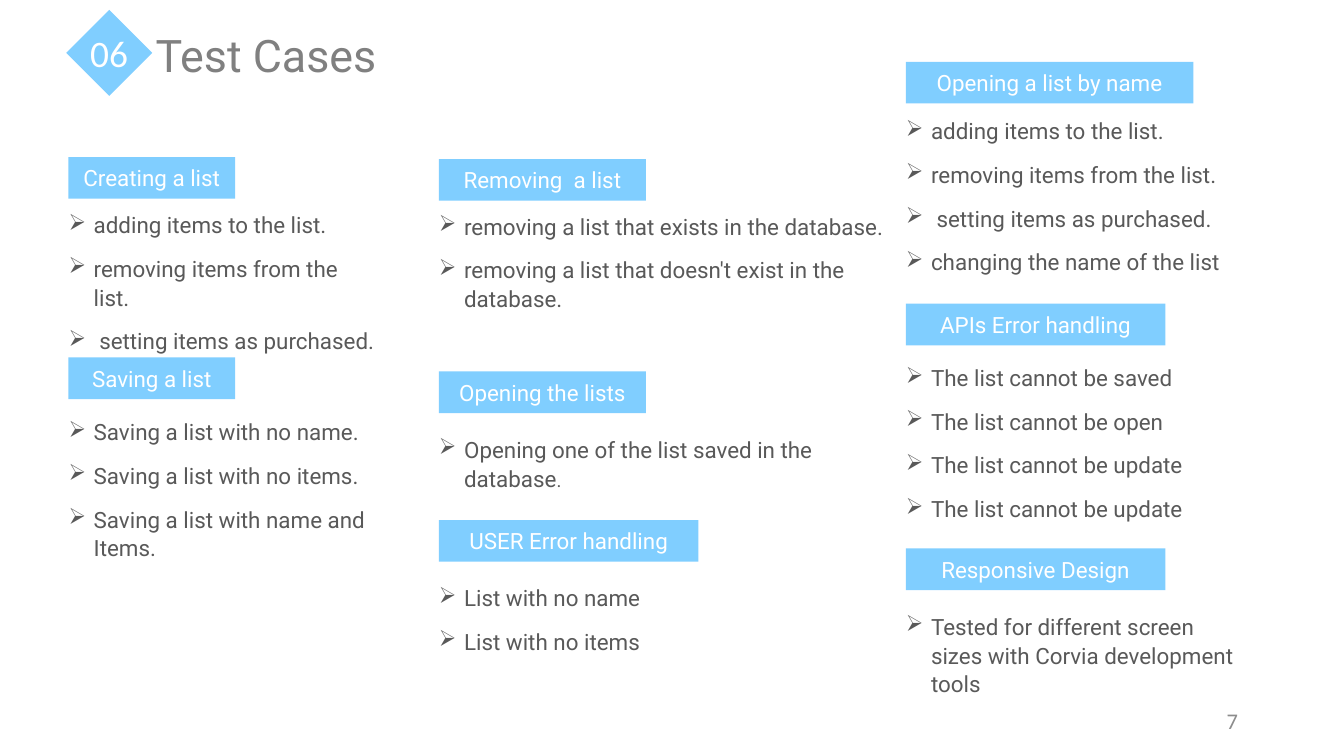
from dataclasses import dataclass

from lxml.etree import SubElement
from pptx import Presentation
from pptx.dml.color import RGBColor
from pptx.enum.shapes import MSO_SHAPE as Shape
from pptx.enum.text import MSO_ANCHOR as Anchor, PP_ALIGN as Align
from pptx.oxml.ns import qn
from pptx.util import Pt


@dataclass(frozen=True)
class Theme:
    white: RGBColor = RGBColor(0xFF, 0xFF, 0xFF)
    accent: RGBColor = RGBColor(0x80, 0xCE, 0xFF)
    title: RGBColor = RGBColor(0x80, 0x80, 0x80)
    body: RGBColor = RGBColor(0x59, 0x59, 0x59)
    page_number: RGBColor = RGBColor(0x8C, 0x8C, 0x8C)
    font: str = "Roboto"
    number_font: str = "Calibri"
    title_size: int = 24
    badge_size: int = 20
    text_size: int = 12
    small_size: int = 10


THEME = Theme()
HEADING_HEIGHT = 22.3
BULLET_INDENT = 13.5
LINE_HEIGHT = 15.4
SPACE_AFTER = 8


@dataclass(frozen=True)
class Section:
    heading: str
    top: float
    width: float
    list_top: float
    list_width: float
    items: tuple
    small_stop: bool = False


# Left edge of each column, with its sections from top to bottom.
COLUMNS = {
    36.7: (
        Section("Creating a list", 84.2, 89.3, 112.3, 164.2, (
            "adding items to the list.",
            "removing items from the list.",
            " setting items as purchased.")),
        Section("Saving a list", 191.5, 89.3, 223.2, 190.8, (
            "Saving a list with no name.",
            "Saving a list with no items.",
            "Saving a list with name and Items.")),
    ),
    235.2: (
        Section("Removing  a list", 85.2, 110.9, 113, 242.6, (
            "removing a list that exists in the database.",
            "removing a list that doesn't exist in the database.")),
        Section("Opening the lists", 199, 110.9, 232.6, 242.6, (
            "Opening one of the list saved in the database.",),
            small_stop=True),
        Section("USER Error handling", 278.6, 139, 312, 242.6, (
            "List with no name",
            "List with no items")),
    ),
    485.3: (
        Section("Opening a list by name", 33.1, 154.1, 61.9, 216.7, (
            "adding items to the list.",
            "removing items from the list.",
            " setting items as purchased.",
            "changing the name of the list")),
        Section("APIs Error handling", 162.7, 139, 194.2, 216.7, (
            "The list cannot be saved",
            "The list cannot be open",
            "The list cannot be update",
            "The list cannot be update")),
        Section("Responsive Design", 293.8, 139, 327.5, 185, (
            "Tested for different screen sizes with Corvia development tools",)),
    ),
}


def add_span(para, text, color, size=THEME.text_size, font=THEME.font):
    span = para.add_run()
    span.text = text
    span.font.name = font
    span.font.size = Pt(size)
    span.font.color.rgb = color


def add_text_box(page, left, top, width, height):
    box = page.shapes.add_textbox(Pt(left), Pt(top), Pt(width), Pt(height))
    box.text_frame.word_wrap = True
    return box.text_frame


def clear_margins(frame):
    frame.margin_left = frame.margin_right = 0
    frame.margin_top = frame.margin_bottom = 0


def add_filled_shape(page, kind, left, top, width, height):
    """Add an accent-coloured shape and return its centred text frame."""
    shape = page.shapes.add_shape(kind, Pt(left), Pt(top), Pt(width), Pt(height))
    shape.shadow.inherit = False
    shape.fill.solid()
    shape.fill.fore_color.rgb = THEME.accent
    shape.line.fill.background()
    frame = shape.text_frame
    frame.vertical_anchor = Anchor.MIDDLE
    frame.paragraphs[0].alignment = Align.CENTER
    return frame


def add_bullet(para):
    properties = para._p.get_or_add_pPr()
    properties.set("marL", str(Pt(BULLET_INDENT)))
    properties.set("indent", str(-Pt(BULLET_INDENT)))
    SubElement(properties, qn("a:buChar"), char="➢")
    para.line_spacing = 1.07
    para.space_after = Pt(SPACE_AFTER)


def add_list(page, left, section):
    height = len(section.items) * (LINE_HEIGHT + SPACE_AFTER)
    frame = add_text_box(page, left, section.list_top, section.list_width, height)
    clear_margins(frame)
    for index, item in enumerate(section.items):
        para = frame.add_paragraph() if index else frame.paragraphs[0]
        add_bullet(para)
        if section.small_stop:
            add_span(para, item[:-1], THEME.body)
            add_span(para, item[-1], THEME.body, THEME.small_size)
        else:
            add_span(para, item, THEME.body)


def add_section(page, left, section):
    add_list(page, left, section)
    frame = add_filled_shape(page, Shape.RECTANGLE, left, section.top,
                             section.width, HEADING_HEIGHT)
    add_span(frame.paragraphs[0], section.heading, THEME.white)


def add_title(page):
    para = add_text_box(page, 76.3, 7.9, 244.8, 45.4).paragraphs[0]
    para.line_spacing = Pt(32)
    add_span(para, "Test Cases", THEME.title, THEME.title_size)

    badge = add_filled_shape(page, Shape.DIAMOND, 35.5, 5.3, 46.1, 46.1)
    clear_margins(badge)
    badge.word_wrap = False
    add_span(badge.paragraphs[0], "06", THEME.white, THEME.badge_size,
             THEME.number_font)


def add_page_number(page):
    frame = add_text_box(page, 508.3, 375.1, 162, 21.6)
    frame.vertical_anchor = Anchor.MIDDLE
    para = frame.paragraphs[0]
    para.alignment = Align.RIGHT
    add_span(para, "7", THEME.page_number, font=THEME.number_font)


def main():
    deck = Presentation()
    deck.slide_width, deck.slide_height = Pt(720), Pt(405)
    page = deck.slides.add_slide(deck.slide_layouts[6])
    page.background.fill.solid()
    page.background.fill.fore_color.rgb = THEME.white

    add_page_number(page)
    for left, sections in COLUMNS.items():
        for section in sections:
            add_section(page, left, section)
    add_title(page)
    deck.save("out.pptx")


if __name__ == "__main__":
    main()
